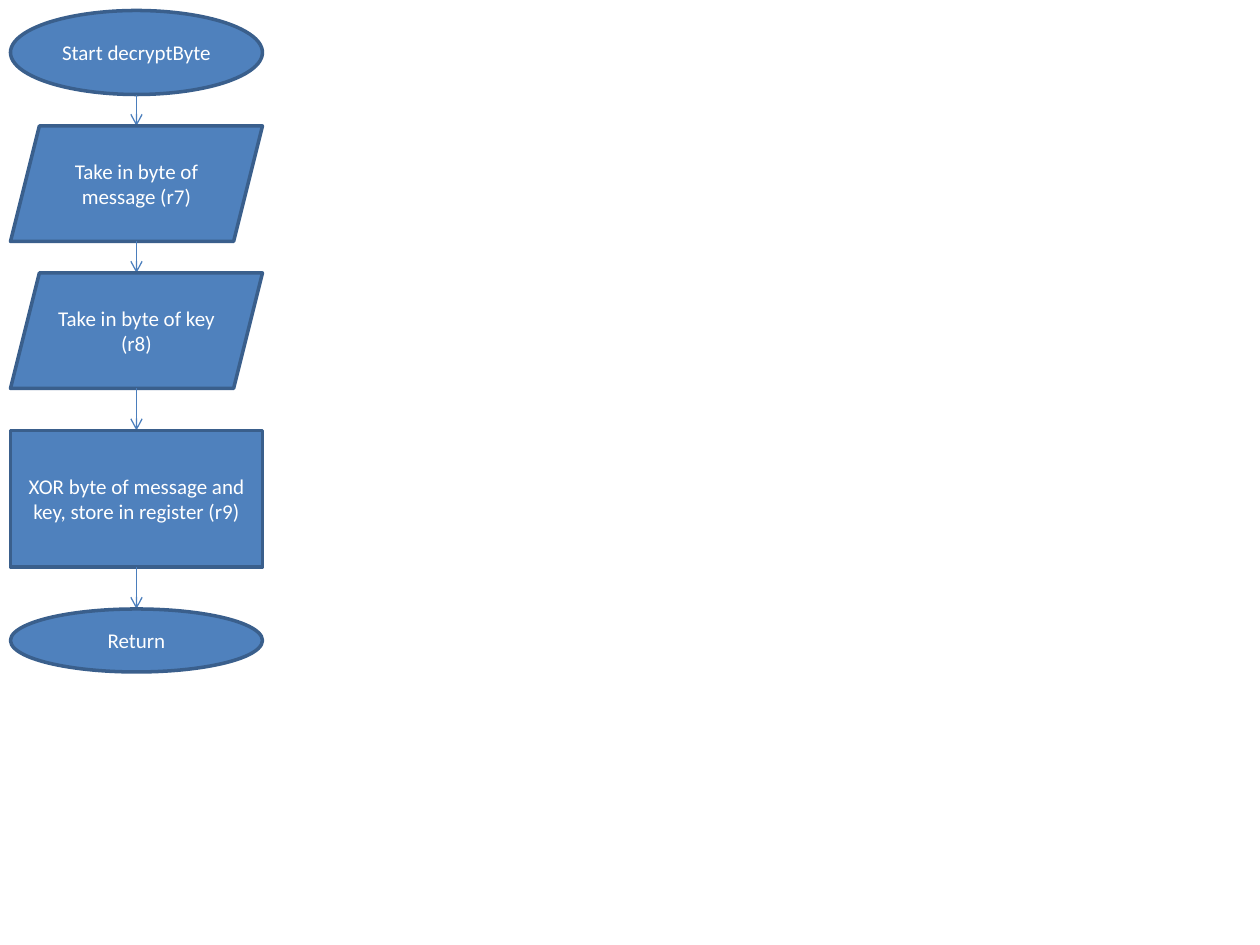
import pptx
import pptx.dml.color
import pptx.enum.shapes
import pptx.enum.text
import pptx.oxml.ns
import pptx.util
import lxml.etree

Pt = pptx.util.Pt
SHAPES = pptx.enum.shapes.MSO_SHAPE
LEFT, TOP, WIDTH = 6, 6, 144

STEPS = [
    (SHAPES.OVAL, 48, 18, "Start decryptByte"),
    (SHAPES.PARALLELOGRAM, 66, 18, "Take in byte of message (r7)"),
    (SHAPES.PARALLELOGRAM, 66, 24, "Take in byte of key (r8)"),
    (SHAPES.RECTANGLE, 78, 24, "XOR byte of message and key, store in register (r9)"),
    (SHAPES.OVAL, 36, 0, "Return"),
]


def color(value):
    return pptx.dml.color.RGBColor.from_string(value)


def add_step(slide, kind, top, height, text):
    box = slide.shapes.add_shape(kind, Pt(LEFT), Pt(top), Pt(WIDTH), Pt(height))
    box.shadow.inherit = False
    box.fill.solid()
    box.fill.fore_color.rgb = color("4F81BD")
    box.line.color.rgb = color("3A5F8C")
    box.line.width = Pt(2)
    frame = box.text_frame
    frame.word_wrap = True
    frame.vertical_anchor = pptx.enum.text.MSO_ANCHOR.MIDDLE
    frame.text = text
    para = frame.paragraphs[0]
    para.alignment = pptx.enum.text.PP_ALIGN.CENTER
    span = para.runs[0]
    span.font.name = "Calibri"
    span.font.size = Pt(12)
    span.font.color.rgb = color("FFFFFF")


def add_arrow(slide, start, end):
    center = Pt(LEFT + WIDTH / 2)
    arrow = slide.shapes.add_connector(
        pptx.enum.shapes.MSO_CONNECTOR.STRAIGHT, center, Pt(start), center, Pt(end)
    )
    arrow.line.color.rgb = color("4B7EBC")
    arrow.line.width = Pt(0.75)
    name = pptx.oxml.ns.qn
    line = arrow.line._get_or_add_ln()
    lxml.etree.SubElement(line, name("a:tailEnd"), type="arrow")
    lxml.etree.SubElement(arrow._element.spPr, name("a:effectLst"))


def main():
    deck = pptx.Presentation()
    deck.slide_width = Pt(720)
    deck.slide_height = Pt(540)
    slide = deck.slides.add_slide(deck.slide_layouts[6])
    top = TOP
    for kind, height, gap, text in STEPS:
        add_step(slide, kind, top, height, text)
        bottom = top + height
        top = bottom + gap
        if gap:
            add_arrow(slide, bottom, top)
    deck.save("out.pptx")


if __name__ == "__main__":
    main()
